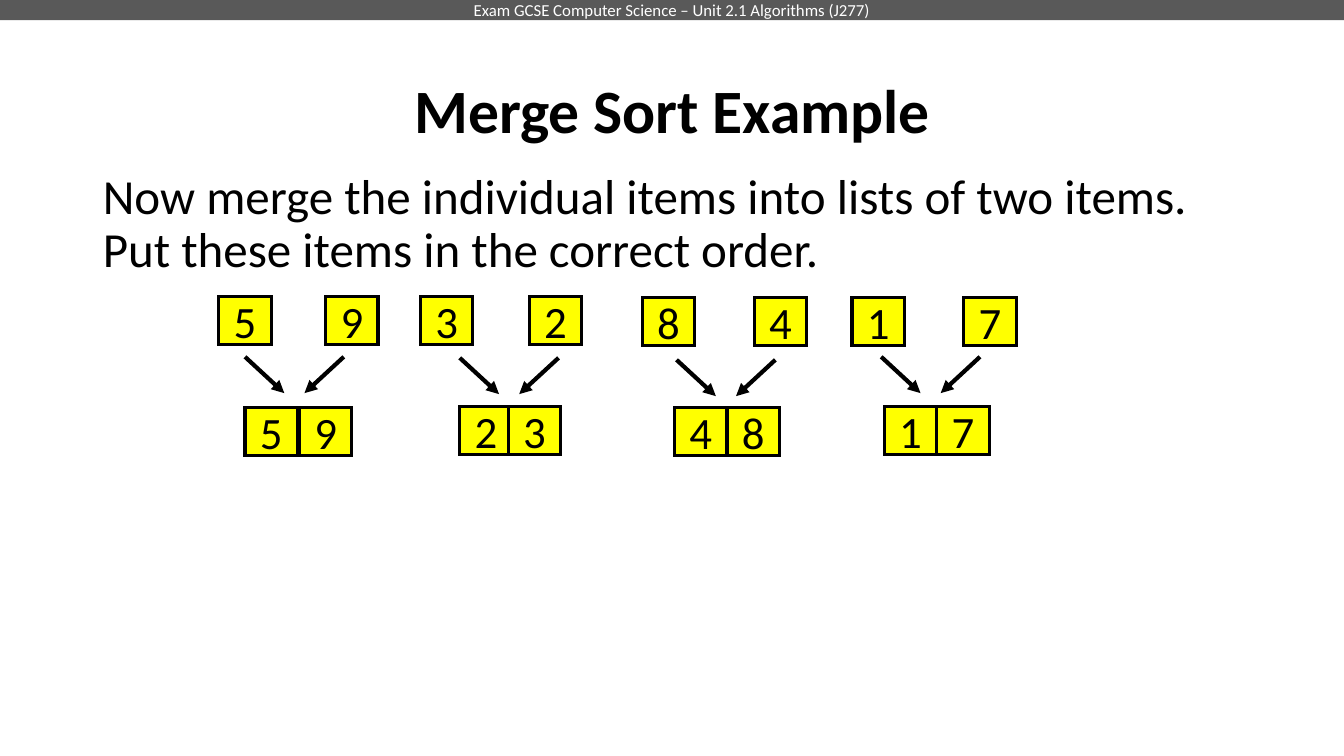
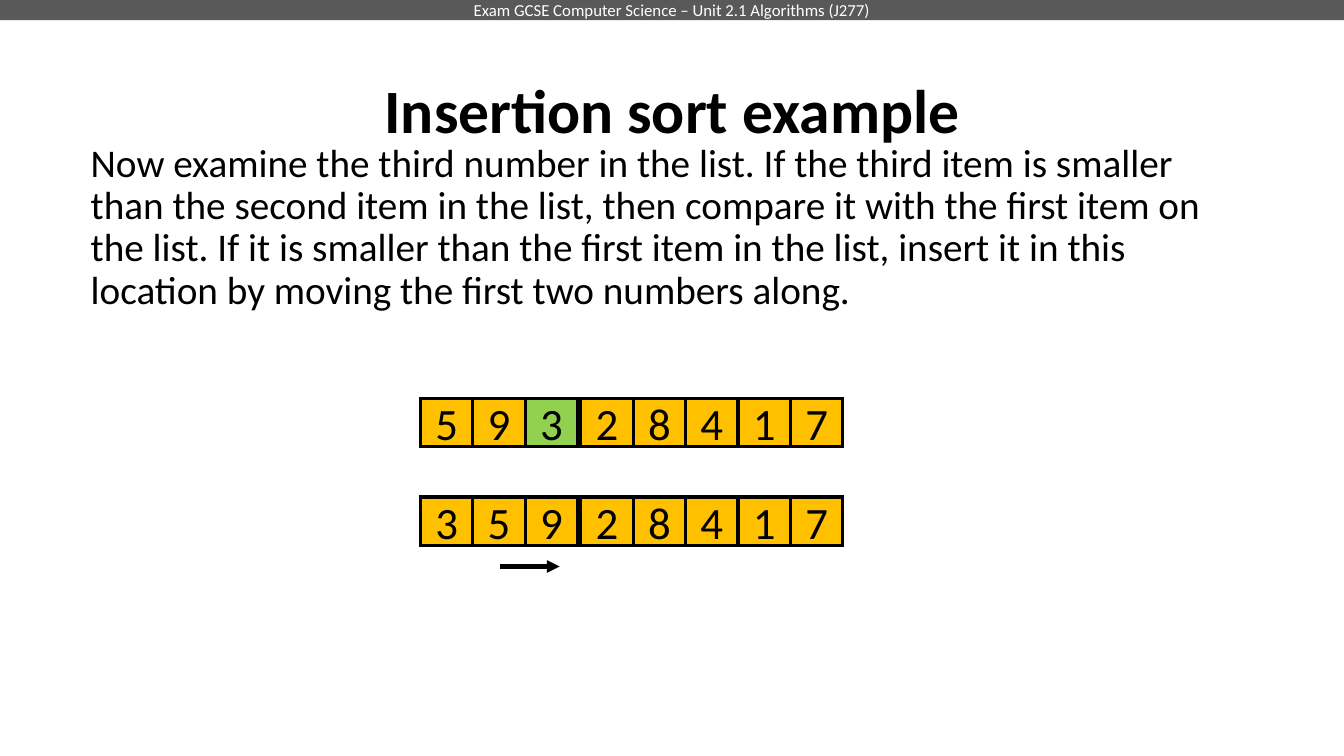
from dataclasses import dataclass

from lxml.etree import SubElement
from pptx import Presentation
from pptx.dml.color import RGBColor
from pptx.enum.shapes import MSO_CONNECTOR, MSO_SHAPE
from pptx.enum.text import MSO_ANCHOR, MSO_AUTO_SIZE, PP_ALIGN
from pptx.oxml.ns import qn
from pptx.util import Inches, Pt

# Content
BAND_TEXT = "Exam GCSE Computer Science – Unit 2.1 Algorithms (J277)"

MERGE = {
    "title": "Merge Sort Example",
    "body": "Now merge the individual items into lists of two items. "
            "Put these items in the correct order.",
    "body_box": (0.92, 1.66, 11.5, 1.28),
    "body_size": 35,
}
# Each pair: items, their lefts and top; merged items, their lefts and top;
# left and top of its two arrows
PAIRS = [
    ("59", (2.17, 3.23), 2.94, "59", (2.43, 2.97), 4.04, (2.43, 3.54)),
    ("32", (4.17, 5.25), 2.94, "23", (4.56, 5.04), 4.03, (4.56, 3.55)),
    ("84", (6.37, 7.48), 2.95, "48", (6.69, 7.21), 4.04, (6.71, 3.57)),
    ("17", (8.45, 9.56), 2.95, "17", (8.77, 9.29), 4.03, (8.74, 3.54)),
]

INSERTION = {
    "title": "Insertion sort example",
    "body": "Now examine the third number in the list. If the third item is "
            "smaller than the second item in the list, then compare it with "
            "the first item on the list. If it is smaller than the first item "
            "in the list, insert it in this location by moving the first two "
            "numbers along.",
    "body_box": (0.8, 1.37, 11.5, 3.5),
    "body_size": 28,
}
# Each row: top, examined numbers, remaining numbers, highlighted number
ROWS = [(3.95, "593", "28417", "3"), (4.93, "359", "28417", None)]
EXAMINED_LEFT, REMAINING_LEFT = 4.17, 5.76
MOVE_ARROW = ((4.96, 5.62), (5.55, 5.62))


# Theme and fixed measures
@dataclass(frozen=True)
class Theme:
    font: str = "Calibri"
    ink: str = "000000"
    band: str = "595959"
    band_ink: str = "FFFFFF"
    merge: str = "FFFF00"
    insertion: str = "FFC000"
    highlight: str = "92D050"
    band_size: int = 12
    title_size: int = 44
    cell_size: int = 32
    cell_line: float = 2.25
    arrow_line: float = 3


THEME = Theme()
SLIDE_SIZE = (13.33, 7.5)
TITLE_BOX = (0.92, 0.4, 11.5, 1.45)
CELL_WIDTH, CELL_HEIGHT = 0.52, 0.48
ARROW_RUN, ARROW_DROP, ARROW_SPAN = 0.39, 0.36, 0.98


def set_all(target, values):
    for name, value in values.items():
        setattr(target, name, value)


def write(shape, text, size, color, align, anchor, bold=False, spacing=1.0):
    frame = shape.text_frame
    frame.text = text
    set_all(frame, {"word_wrap": True, "auto_size": MSO_AUTO_SIZE.NONE,
                    "vertical_anchor": anchor})
    paragraph = frame.paragraphs[0]
    if shape.is_placeholder:
        properties = paragraph._p.get_or_add_pPr()
        properties.set("marL", "0")
        properties.set("indent", "0")
        SubElement(properties, qn("a:buNone"))
    set_all(paragraph, {"alignment": align, "line_spacing": spacing,
                        "space_before": Pt(0)})
    set_all(paragraph.font, {"name": THEME.font, "size": Pt(size), "bold": bold})
    paragraph.font.color.rgb = RGBColor.from_string(color)


def place(shape, box):
    set_all(shape, dict(zip(("left", "top", "width", "height"), map(Inches, box))))


def add_box(slide, box, fill, text, size, color, line=None):
    shape = slide.shapes.add_shape(MSO_SHAPE.RECTANGLE, *map(Inches, box))
    shape.shadow.inherit = False
    shape.fill.solid()
    shape.fill.fore_color.rgb = RGBColor.from_string(fill)
    if line:
        shape.line.color.rgb = RGBColor.from_string(THEME.ink)
        shape.line.width = Pt(line)
        # Square corners
        SubElement(shape.element.spPr.find(qn("a:ln")), qn("a:miter"), lim="800000")
    else:
        shape.line.fill.background()
    write(shape, text, size, color, PP_ALIGN.CENTER, MSO_ANCHOR.MIDDLE)
    return shape


def add_cell(slide, left, top, number, fill):
    add_box(slide, (left, top, CELL_WIDTH, CELL_HEIGHT), fill, number,
            THEME.cell_size, THEME.ink, THEME.cell_line)


def add_arrow(slide, start, end):
    arrow = slide.shapes.add_connector(
        MSO_CONNECTOR.STRAIGHT, *map(Inches, (*start, *end)))
    arrow.line.color.rgb = RGBColor.from_string(THEME.ink)
    arrow.line.width = Pt(THEME.arrow_line)
    properties = arrow.element.spPr
    SubElement(properties.find(qn("a:ln")), qn("a:tailEnd"), type="triangle")
    SubElement(properties, qn("a:effectLst"))


def add_slide(presentation, content):
    slide = presentation.slides.add_slide(presentation.slide_layouts[1])
    title, body = slide.placeholders
    place(title, TITLE_BOX)
    write(title, content["title"], THEME.title_size, THEME.ink,
          PP_ALIGN.CENTER, MSO_ANCHOR.MIDDLE, bold=True, spacing=0.9)
    place(body, content["body_box"])
    write(body, content["body"], content["body_size"], THEME.ink,
          PP_ALIGN.LEFT, MSO_ANCHOR.TOP, spacing=0.9)
    return slide


def add_master_band(presentation, slide):
    """Draw the band, then move it to the master so every slide shows it."""
    band = add_box(slide, (0, 0, SLIDE_SIZE[0], 0.2), THEME.band, BAND_TEXT,
                   THEME.band_size, THEME.band_ink)
    presentation.slide_master.shapes.element.append(band.element)


def draw_merge(slide):
    for items, lefts, top, merged, merged_lefts, merged_top, (x, y) in PAIRS:
        for number, left in zip(items, lefts):
            add_cell(slide, left, top, number, THEME.merge)
        for number, left in zip(merged, merged_lefts):
            add_cell(slide, left, merged_top, number, THEME.merge)
        for start, run in ((x, ARROW_RUN), (x + ARROW_SPAN, -ARROW_RUN)):
            add_arrow(slide, (start, y), (start + run, y + ARROW_DROP))


def draw_insertion(slide):
    for top, examined, remaining, highlighted in ROWS:
        for first, numbers in ((EXAMINED_LEFT, examined), (REMAINING_LEFT, remaining)):
            for index, number in enumerate(numbers):
                fill = THEME.highlight if number == highlighted else THEME.insertion
                add_cell(slide, first + index * CELL_WIDTH, top, number, fill)
    add_arrow(slide, *MOVE_ARROW)


def main():
    presentation = Presentation()
    presentation.slide_width, presentation.slide_height = map(Inches, SLIDE_SIZE)
    merge_slide = add_slide(presentation, MERGE)
    add_master_band(presentation, merge_slide)
    draw_merge(merge_slide)
    draw_insertion(add_slide(presentation, INSERTION))
    presentation.save("out.pptx")


if __name__ == "__main__":
    main()
